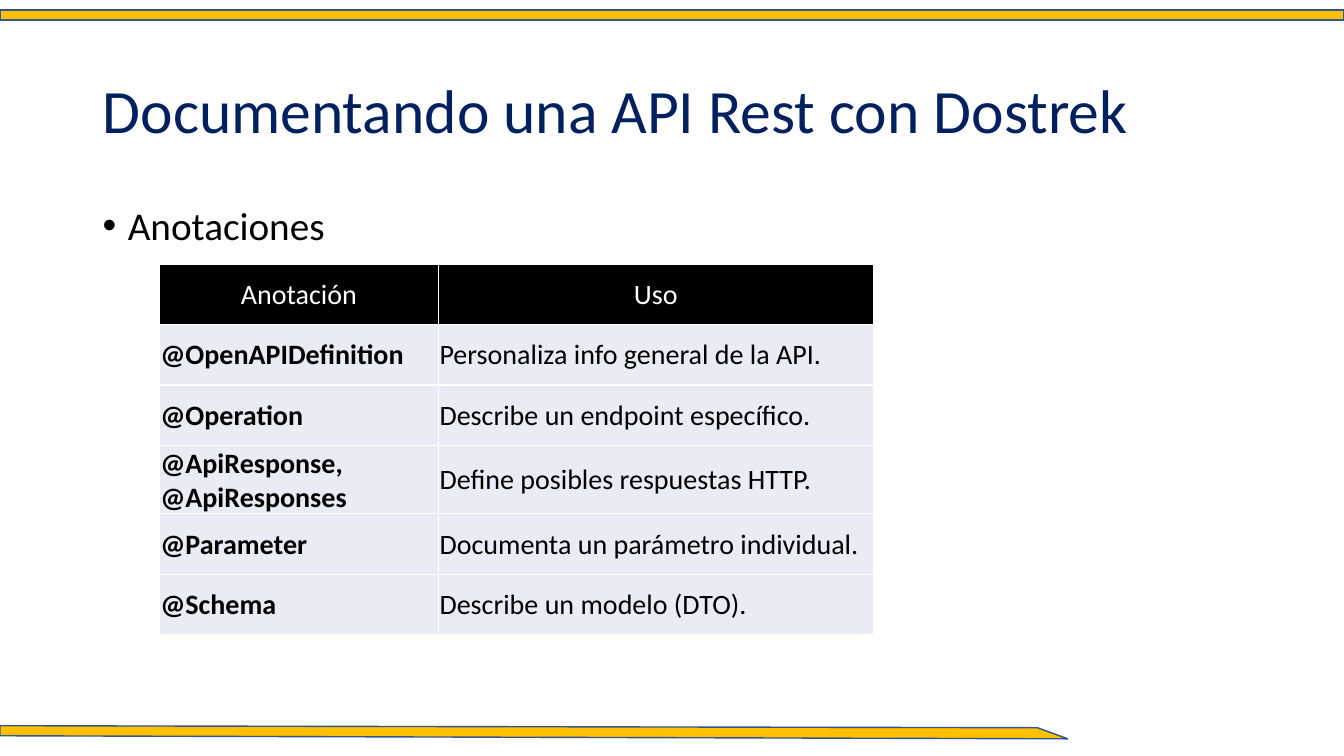
from pptx import Presentation
from pptx.dml.color import RGBColor
from pptx.enum.shapes import MSO_SHAPE as Shape
from pptx.enum.text import MSO_ANCHOR as Anchor, PP_ALIGN as Align
from pptx.oxml import parse_xml
from pptx.oxml.ns import nsdecls
from pptx.util import Inches, Pt

GOLD = RGBColor(0xFF, 0xC0, 0x00)
EDGE = RGBColor(0x32, 0x54, 0x91)
NAVY = RGBColor(0x00, 0x20, 0x60)
BLACK = RGBColor(0x00, 0x00, 0x00)
WHITE = RGBColor(0xFF, 0xFF, 0xFF)
PALE = RGBColor(0xE9, 0xEB, 0xF5)


def style(para, size, color, bold=False):
    for run in para.runs:
        font = run.font
        font.name, font.size, font.bold = "Calibri", Pt(size), bold
        font.color.rgb = color


def add_text(top, height, text, size, color):
    box = slide.shapes.add_textbox(Inches(0.92), Inches(top), Inches(11.5), Inches(height))
    box.text_frame.word_wrap = True
    para = box.text_frame.paragraphs[0]
    para.text = text
    para.line_spacing = 0.9
    style(para, size, color)
    return box.text_frame


deck = Presentation()
deck.slide_width, deck.slide_height = Inches(13.33), Inches(7.5)
slide = deck.slides.add_slide(deck.slide_layouts[6])

# Gold bands at top and bottom
top_band = slide.shapes.add_shape(Shape.RECTANGLE, 0, Inches(0.1), Inches(13.33), Inches(0.1))
outline = slide.shapes.build_freeform(0, Inches(7.2))
outline.add_line_segments([(Inches(x), Inches(y)) for x, y in
                           [(10.29, 7.22), (10.59, 7.33), (0, 7.3)]], close=True)
for band in (top_band, outline.convert_to_shape()):
    band.shadow.inherit = False
    band.fill.solid()
    band.fill.fore_color.rgb = GOLD
    band.line.color.rgb = EDGE
    band.line.width = Pt(1)

# Title and bullet
title = add_text(0.4, 1.45, "Documentando una API Rest con Dostrek", 44, NAVY)
title.vertical_anchor = Anchor.MIDDLE
body = add_text(2, 4.76, "Anotaciones", 28, BLACK)
body.paragraphs[0].space_before = Pt(10)
props = body.paragraphs[0]._p.get_or_add_pPr()
props.set("marL", str(Inches(0.25)))
props.set("indent", str(Inches(-0.25)))
props.append(parse_xml(f'<a:buFont {nsdecls("a")} typeface="Arial"/>'))
props.append(parse_xml(f'<a:buChar {nsdecls("a")} char="•"/>'))

# Table of annotations
rows = [
    ("Anotación", "Uso"),
    ("@OpenAPIDefinition", "Personaliza info general de la API."),
    ("@Operation", "Describe un endpoint específico."),
    ("@ApiResponse, @ApiResponses", "Define posibles respuestas HTTP."),
    ("@Parameter", "Documenta un parámetro individual."),
    ("@Schema", "Describe un modelo (DTO)."),
]
table = slide.shapes.add_table(len(rows), 2, Inches(1.58), Inches(2.62),
                               Inches(7.08), Inches(3.6)).table
for col, width in zip(table.columns, (2.77, 4.31)):
    col.width = Inches(width)
for r, row in enumerate(rows):
    table.rows[r].height = Inches(0.6)
    head = r == 0
    for c, text in enumerate(row):
        cell = table.cell(r, c)
        cell.text = text
        cell.vertical_anchor = Anchor.MIDDLE
        cell.margin_left = cell.margin_right = cell.margin_top = Inches(0.01)
        cell.margin_bottom = 0
        para = cell.text_frame.paragraphs[0]
        para.alignment = Align.CENTER if head else Align.LEFT
        style(para, 20, WHITE if head else BLACK, bold=not head and c == 0)
        # White borders go before the fill
        for side in ("lnL", "lnR", "lnT", "lnB"):
            cell._tc.get_or_add_tcPr().append(parse_xml(
                f'<a:{side} {nsdecls("a")} w="{Pt(1)}"><a:solidFill>'
                f'<a:srgbClr val="{WHITE}"/></a:solidFill></a:{side}>'))
        cell.fill.solid()
        cell.fill.fore_color.rgb = BLACK if head else PALE

deck.save("out.pptx")
